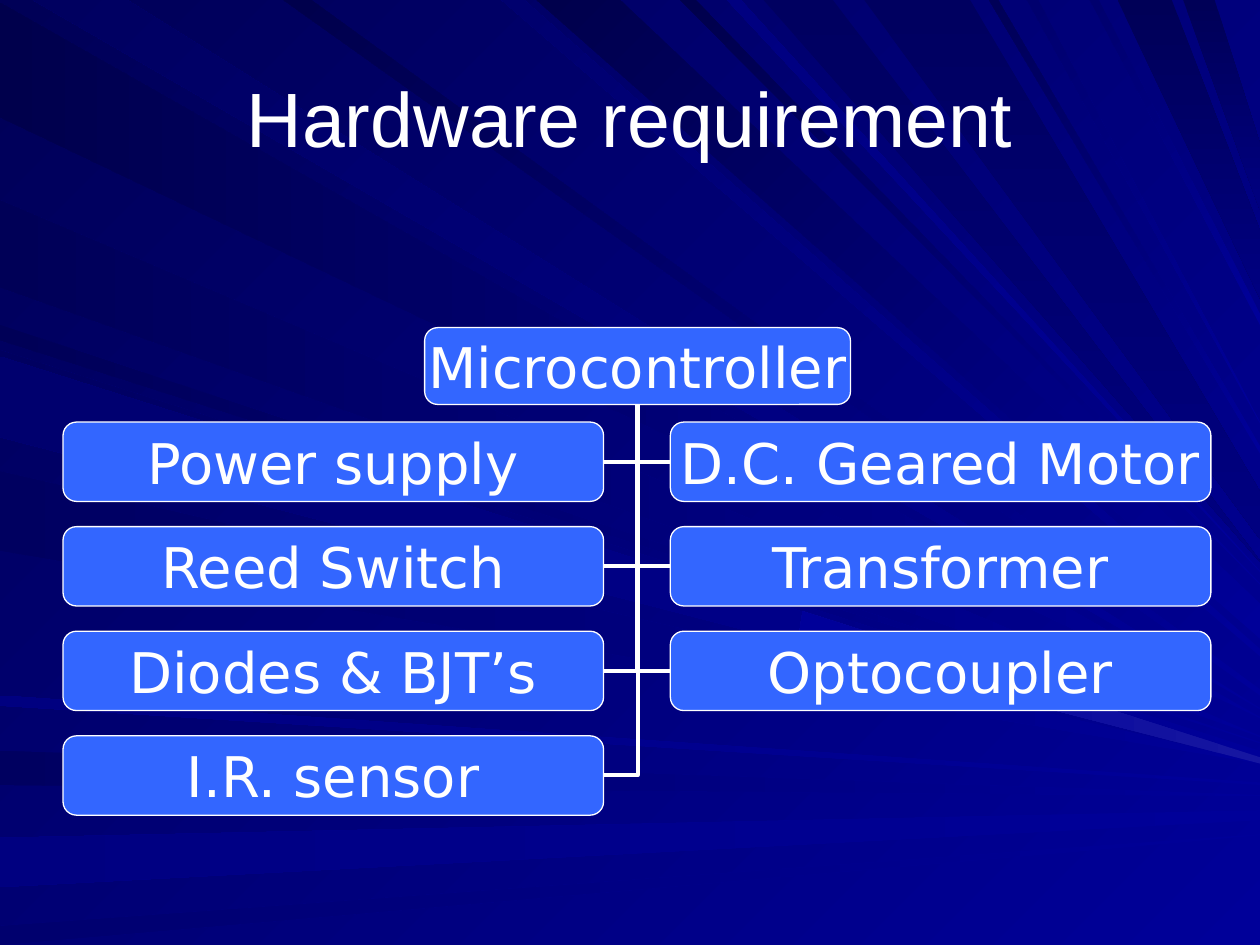
from lxml import etree
from pptx import Presentation, util as u
from pptx.dml.color import RGBColor
from pptx.enum import shapes as s, text as t
from pptx.oxml.ns import qn

PX = 9144  # EMU: 100 px to the inch
WIDTH, HEIGHT = 1000, 750

WHITE = RGBColor.from_string("FFFFFF")
BOX_BLUE = RGBColor.from_string("3366FF")
BRIGHT = RGBColor.from_string("000099")
MIDDLE = RGBColor.from_string("000080")
SOFT = RGBColor.from_string("00006E")
DUSK = RGBColor.from_string("000060")
DEEP = RGBColor.from_string("000057")
NIGHT = RGBColor.from_string("00004C")
GLOW = RGBColor.from_string("1616A1")

TITLE = "Hardware requirement"
CONTROLLER = "Microcontroller"
PARTS = [  # left column, right column
    ["Power supply", "Reed Switch", "Diodes & BJT’s", "I.R. sensor"],
    ["D.C. Geared Motor", "Transformer", "Optocoupler"],
]

# Rays end on the right edge. Each: start span, tip, tip depth, far colour
LEFT_EDGE_RAYS = [
    (2, 93, 569, 1, NIGHT),
    (596, 623, 631, 1, DUSK),
    (665, 704, 643, 8, MIDDLE),
    (735, 750, 662, 1, SOFT),
    (258, 270, 589, 1, DEEP),
    (159, 228, 584, 1, DEEP),
    (278, 342, 596, 6, DUSK),
    (374, 437, 605, 1, DUSK),
    (552, 560, 621, 2, MIDDLE),
    (283, 347, 601, 5, SOFT),
]
TOP_EDGE_RAYS = [
    (26, 101, 562, 1, DUSK),
    (398, 416, 515, 6, SOFT),
    (426, 492, 479, 28, NIGHT),
    (540, 552, 463, 1, NIGHT),
    (225, 247, 547, 5, NIGHT),
    (577, 588, 453, 1, MIDDLE),
    (785, 792, 354, 6, DEEP),
    (815, 824, 335, 1, SOFT),
    (865, 872, 249, 9, SOFT),
]
SHADED_RAYS = [
    (606, 661, 445, 1, DUSK),
    (686, 770, 390, 38, DUSK),
    (887, 930, 183, 54, DEEP),
    (939, 964, 114, 53, DEEP),
]
GLOW_CORNERS = [(1000, 601), (637, 485), (633, 511), (1000, 606)]

CONTROLLER_AREA = (337, 260, 338, 61)
COLUMN_LEFTS = (50, 532)
FIRST_ROW, ROW_STEP = 335, 83
PART_WIDTH, PART_HEIGHT = 429, 63
LEFT_SITE, BOTTOM_SITE, RIGHT_SITE = 1, 2, 3  # connection sites of a box


def px(*lengths):
    return [u.Emu(length * PX) for length in lengths]


def paint(fill, first, last, clockwise_angle):
    fill.gradient()
    fill.gradient_angle = 360 - clockwise_angle
    for position, color in enumerate((first, last)):
        stop = fill.gradient_stops[position]
        stop.color.rgb = color
        stop.position = position


def add_ray(slide, corners, first, last, angle):
    builder = slide.shapes.build_freeform(*corners[0], scale=PX)
    builder.add_line_segments(corners[1:], close=True)
    ray = builder.convert_to_shape()
    ray.shadow.inherit = False
    ray.line.fill.background()
    paint(ray.fill, first, last, angle)


def add_rays(slide):
    for start, end, tip, depth, far in LEFT_EDGE_RAYS:
        corners = [(0, start), (0, end), (WIDTH, tip + depth), (WIDTH, tip)]
        add_ray(slide, corners, BRIGHT, far, 180)
    for rays, shaded in ((TOP_EDGE_RAYS, False), (SHADED_RAYS, True)):
        for start, end, tip, depth, far in rays:
            corners = [(start, 0), (end, 0), (WIDTH, tip), (WIDTH, tip + depth)]
            if shaded:
                add_ray(slide, corners, far, MIDDLE, 90)
            else:
                add_ray(slide, corners, BRIGHT, far, 225)
    add_ray(slide, GLOW_CORNERS, GLOW, BRIGHT, 180)


def write(shape, wording, font_name, size):
    frame = shape.text_frame
    frame.text = wording
    frame.vertical_anchor = t.MSO_ANCHOR.MIDDLE
    paragraph = frame.paragraphs[0]
    paragraph.alignment = t.PP_ALIGN.CENTER
    font = paragraph.runs[0].font
    font.name, font.size, font.color.rgb = font_name, u.Pt(size), WHITE
    return frame


def add_box(slide, wording, area):
    box = slide.shapes.add_shape(s.MSO_SHAPE.ROUNDED_RECTANGLE, *px(*area))
    box.adjustments[0] = 0.17
    box.shadow.inherit = False
    box.fill.solid()
    box.fill.fore_color.rgb = BOX_BLUE
    box.line.color.rgb = WHITE
    box.line.width = u.Pt(0.75)
    frame = write(box, wording, "DejaVu Sans", 32)
    frame.word_wrap = False
    frame.margin_left = frame.margin_right = u.Emu(2 * PX)
    frame.margin_top = frame.margin_bottom = u.Emu(PX)
    return box


def link(slide, part, site, controller):
    """Join a part's side to the controller's bottom with a single bend."""
    branch = slide.shapes.add_connector(s.MSO_CONNECTOR.ELBOW, 0, 0, 0, 0)
    branch.begin_connect(part, site)
    branch.end_connect(controller, BOTTOM_SITE)
    branch.line.color.rgb = WHITE
    branch.line.width = u.Pt(2.25)
    properties = branch._element.spPr
    properties.find(qn("a:prstGeom")).set("prst", "bentConnector2")
    etree.SubElement(properties, qn("a:effectLst"))


def main():
    deck = Presentation()
    deck.slide_width, deck.slide_height = px(WIDTH, HEIGHT)
    slide = deck.slides.add_slide(deck.slide_layouts[6])
    paint(slide.background.fill, BRIGHT, DEEP, 225)
    add_rays(slide)

    title = slide.shapes.add_textbox(*px(50, 30, 900, 125))
    write(title, TITLE, "Arial", 44).word_wrap = True

    controller = add_box(slide, CONTROLLER, CONTROLLER_AREA)
    for left, site, column in zip(COLUMN_LEFTS, (RIGHT_SITE, LEFT_SITE), PARTS):
        for row, wording in enumerate(column):
            top = FIRST_ROW + row * ROW_STEP
            part = add_box(slide, wording, (left, top, PART_WIDTH, PART_HEIGHT))
            link(slide, part, site, controller)

    deck.save("out.pptx")


if __name__ == "__main__":
    main()
